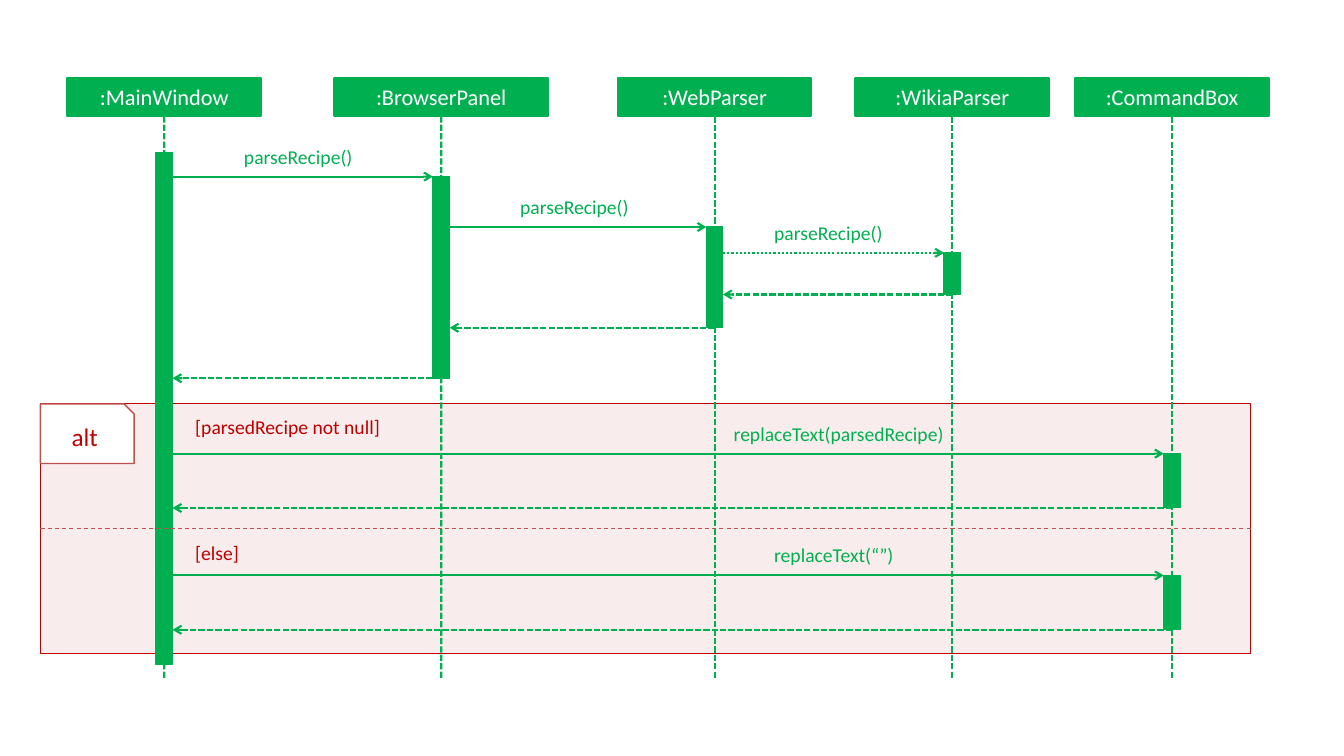
import pptx
import pptx.dml.color
import pptx.enum.dml
import pptx.enum.shapes
import pptx.enum.text
import pptx.oxml
import pptx.oxml.ns
import pptx.util

Cm = pptx.util.Cm
Pt = pptx.util.Pt
SHAPE = pptx.enum.shapes.MSO_SHAPE
DASH = pptx.enum.dml.MSO_LINE
ANCHOR = pptx.enum.text.MSO_ANCHOR
ALIGN = pptx.enum.text.PP_ALIGN

COLOURS = {"green": "00B050", "red": "C00000", "brick": "C0504D",
           "pink": "F2DCDB", "white": "FFFFFF"}
FONT = "Calibri"

HEAD_TOP, HEAD_HEIGHT = 1.96, 0.97
LIFELINE_END = 17.08
BAR_WIDTH = 0.42
LABEL_RISE = 0.81
FRAME_LEFT, FRAME_TOP, FRAME_WIDTH, FRAME_HEIGHT = 1.02, 10.16, 30.5, 6.3

# Participant: (centre of its lifeline, width of its head)
PARTICIPANTS = {
    "MainWindow": (4.14, 4.88),
    "BrowserPanel": (11.12, 5.38),
    "WebParser": (18.01, 4.88),
    "WikiaParser": (24.0, 4.88),
    "CommandBox": (29.54, 4.88),
}

# Caller, callee, time of call, duration, label, label left, label width, dash
CALLS = [
    ("MainWindow", "BrowserPanel", 4.45, 5.08, "parseRecipe()", 6.15, 3.12, None),
    ("BrowserPanel", "WebParser", 5.72, 2.54, "parseRecipe()", 13.11, 3.12, None),
    ("WebParser", "WikiaParser", 6.37, 1.05, "parseRecipe()", 19.51, 3.12, DASH.ROUND_DOT),
    ("MainWindow", "CommandBox", 11.43, 1.37, "replaceText(parsedRecipe)", 18.49, 6.15, None),
    ("MainWindow", "CommandBox", 14.5, 1.37, "replaceText(“”)", 19.51, 3.12, None),
]

GUARDS = [("[parsedRecipe not null]", 10.34), ("[else]", 13.51)]


def rgb(name):
    return pptx.dml.color.RGBColor.from_string(COLOURS[name])


def apply(target, formats):
    for attribute, value in formats.items():
        setattr(target, attribute, value)


def write(shape, text, size, colour, frame_formats, align=ALIGN.LEFT):
    apply(shape.text_frame, {"word_wrap": True, **frame_formats})
    paragraph = shape.text_frame.paragraphs[0]
    paragraph.alignment = align
    run = paragraph.add_run()
    run.text = text
    apply(run.font, {"name": FONT, "size": Pt(size)})
    run.font.color.rgb = rgb(colour)


def add_box(slide, kind, left, top, width, height, fill, line, weight):
    box = slide.shapes.add_shape(kind, Cm(left), Cm(top), Cm(width), Cm(height))
    box.shadow.inherit = False
    box.fill.solid()
    box.fill.fore_color.rgb = rgb(fill)
    box.line.color.rgb = rgb(line)
    box.line.width = Pt(weight)
    return box


def add_titled_box(slide, kind, left, top, width, height, fill, line, weight,
                   text, size, colour):
    box = add_box(slide, kind, left, top, width, height, fill, line, weight)
    write(box, text, size, colour, {"vertical_anchor": ANCHOR.MIDDLE}, ALIGN.CENTER)
    return box


def add_label(slide, left, top, width, height, text, colour, margins):
    label = slide.shapes.add_textbox(Cm(left), Cm(top), Cm(width), Cm(height))
    write(label, text, 14, colour,
          {"auto_size": pptx.enum.text.MSO_AUTO_SIZE.SHAPE_TO_FIT_TEXT, **margins})


def add_line(slide, start, end, dash=None, arrow=False, source=None,
             colour="green", weight=1.5):
    line = slide.shapes.add_connector(
        pptx.enum.shapes.MSO_CONNECTOR.STRAIGHT,
        Cm(start[0]), Cm(start[1]), Cm(end[0]), Cm(end[1]))
    if source is not None:
        line.begin_connect(source, 2)
    line.line.color.rgb = rgb(colour)
    line.line.width = Pt(weight)
    if dash is not None:
        line.line.dash_style = dash
    if arrow:
        pptx.oxml.parse_xml(
            f'<a:tailEnd {pptx.oxml.ns.nsdecls("a")} type="arrow"/>')
        line.line._get_or_add_ln().append(pptx.oxml.parse_xml(
            f'<a:tailEnd {pptx.oxml.ns.nsdecls("a")} type="arrow"/>'))
    line._element.spPr.append(
        pptx.oxml.parse_xml(f'<a:effectLst {pptx.oxml.ns.nsdecls("a")}/>'))


def add_alt_background(slide):
    frame = add_box(slide, SHAPE.RECTANGLE, FRAME_LEFT, FRAME_TOP,
                    FRAME_WIDTH, FRAME_HEIGHT, "pink", "red", 0.75)
    tint = frame._element.spPr.find(".//" + pptx.oxml.ns.qn("a:srgbClr"))
    tint.append(pptx.oxml.parse_xml(
        f'<a:alpha {pptx.oxml.ns.nsdecls("a")} val="50000"/>'))


def add_participant(slide, name):
    centre, width = PARTICIPANTS[name]
    head = add_titled_box(slide, SHAPE.RECTANGLE, centre - width / 2, HEAD_TOP,
                          width, HEAD_HEIGHT, "green", "green", 1.5,
                          ":" + name, 16, "white")
    add_line(slide, (centre, HEAD_TOP + HEAD_HEIGHT), (centre, LIFELINE_END),
             DASH.SQUARE_DOT, source=head)


def add_activation(slide, name, top, height):
    left = PARTICIPANTS[name][0] - BAR_WIDTH / 2
    return add_box(slide, SHAPE.RECTANGLE, left, top, BAR_WIDTH, height,
                   "green", "green", 0.75)


def add_call(slide, caller, callee, top, height, text, label_left, label_width, dash):
    activation = add_activation(slide, callee, top, height)
    caller_side = PARTICIPANTS[caller][0] + BAR_WIDTH / 2
    callee_centre = PARTICIPANTS[callee][0]
    add_line(slide, (caller_side, top), (callee_centre - BAR_WIDTH / 2, top),
             dash, arrow=True)
    add_line(slide, (callee_centre, top + height), (caller_side, top + height),
             DASH.SQUARE_DOT, arrow=True, source=activation)
    no_margins = {f"margin_{side}": 0 for side in ("left", "top", "right", "bottom")}
    add_label(slide, label_left, top - LABEL_RISE, label_width, 0.61, text,
              "green", no_margins)


def add_alt_labels(slide):
    add_titled_box(slide, SHAPE.SNIP_1_RECTANGLE, FRAME_LEFT, FRAME_TOP + 0.02,
                   2.36, 1.5, "white", "brick", 1, "alt", 18, "red")
    divider = 13.31
    add_line(slide, (FRAME_LEFT, divider), (FRAME_LEFT + FRAME_WIDTH, divider),
             DASH.DASH, colour="brick", weight=0.75)
    for text, top in GUARDS:
        add_label(slide, 4.67, top, 6.15, 0.86, text, "red", {})


def main():
    deck = pptx.Presentation()
    apply(deck, {"slide_width": Cm(33.87), "slide_height": Cm(19.05)})
    slide = deck.slides.add_slide(deck.slide_layouts[6])

    # Alternative block behind the lifelines
    add_alt_background(slide)

    # Participants and their lifelines
    for name in PARTICIPANTS:
        add_participant(slide, name)

    # Activations and messages
    add_activation(slide, "MainWindow", 3.84, 12.9)
    for call in CALLS:
        add_call(slide, *call)

    # Alternative block tag, divider and guards
    add_alt_labels(slide)

    deck.save("out.pptx")


if __name__ == "__main__":
    main()
